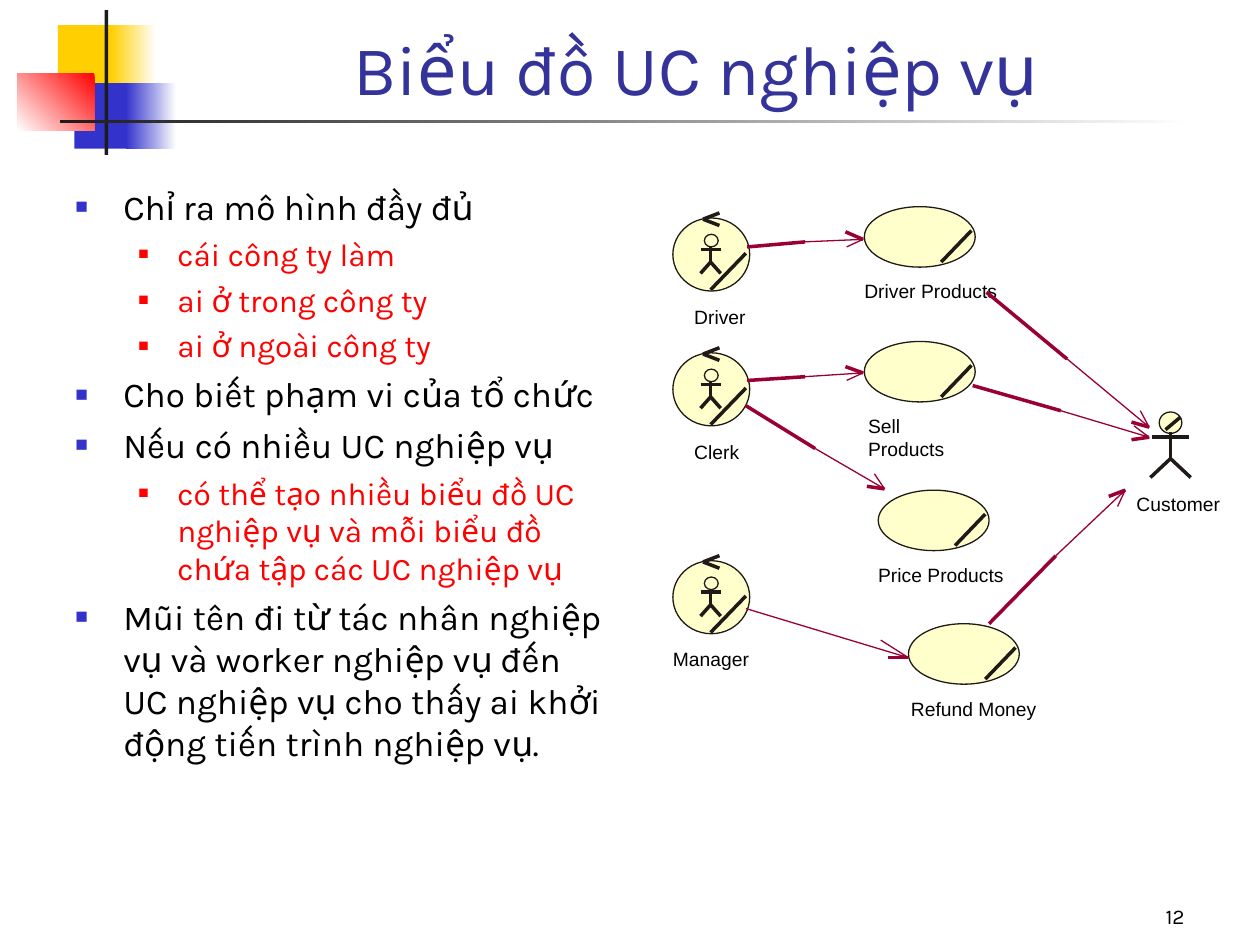
from lxml import etree
from pptx import Presentation
from pptx.dml.color import RGBColor
from pptx.enum.shapes import MSO_CONNECTOR, MSO_SHAPE
from pptx.enum.text import MSO_ANCHOR, MSO_AUTO_SIZE, PP_ALIGN
from pptx.oxml.ns import qn
from pptx.util import Pt

EMU_PER_PX = 9144  # 100 px to the inch
RECTANGLE, ELLIPSE = MSO_SHAPE.RECTANGLE, MSO_SHAPE.OVAL
STRAIGHT = MSO_CONNECTOR.STRAIGHT
LEFT, CENTER, RIGHT = PP_ALIGN.LEFT, PP_ALIGN.CENTER, PP_ALIGN.RIGHT
TOP, BOTTOM = MSO_ANCHOR.TOP, MSO_ANCHOR.BOTTOM
FIT_SHAPE = MSO_AUTO_SIZE.SHAPE_TO_FIT_TEXT

COLORS = {
    "white": "FFFFFF", "black": "000000", "yellow": "FFCF01", "blue": "3333CC",
    "red": "FF0000", "dark": "1C1C1C", "title": "333399",
    "cream": "FFFFCC", "ink": "1F1A17", "arrow": "990033",
}
# Per level: size, colour, bullet colour, bullet %, space before, left, hanging
LEVELS = [
    (20, "black", "blue", 60, 5, 38, 38),
    (18, "red", "red", 55, 4.5, 81, 31),
]
BODY = [
    (0, "Chỉ ra mô hình đầy đủ"),
    (1, "cái công ty làm"),
    (1, "ai ở trong công ty"),
    (1, "ai ở ngoài công ty"),
    (0, "Cho biết phạm vi của tổ chức"),
    (0, "Nếu có nhiều UC nghiệp vụ"),
    (1, "có thể tạo nhiều biểu đồ UC nghiệp vụ và mỗi biểu đồ chứa tập các UC nghiệp vụ"),
    (0, "Mũi tên đi từ tác nhân nghiệp vụ và worker nghiệp vụ đến UC nghiệp vụ "
        "cho thấy ai khởi động tiến trình nghiệp vụ."),
]
# Name, top, label left, label width
WORKERS = [("Driver", 173, 551, 41), ("Clerk", 280, 551, 36), ("Manager", 445, 534, 61)]
# Name, left, top, label left, label width
USE_CASES = [
    ("Driver Products", 686, 164, 686, 106),
    ("Sell Products", 686, 271, 689, 90),
    ("Price Products", 697, 389, 697, 100),
    ("Refund Money", 721, 495, 723, 100),
]
# Points from tail to tip, then the ends of the two barbs
ARROWS = [
    ([(593, 196), (639, 192), (685, 190)], (672, 196), (671, 184)),
    ([(593, 302), (639, 299), (685, 296)], (672, 302), (671, 291)),
    ([(592, 322), (647, 356), (702, 388)], (694, 376), (688, 386)),
    ([(592, 483), (721, 522)], (699, 508), (705, 522)),
    ([(783, 232), (847, 285), (912, 339)], (905, 326), (898, 335)),
    ([(772, 306), (842, 326), (912, 347)], (900, 338), (898, 349)),
    ([(785, 495), (838, 441), (893, 389)], (887, 402), (880, 394)),
]


def px(value):
    return value * EMU_PER_PX


def rgb(name):
    return RGBColor.from_string(COLORS[name])


class Canvas:
    """Holds the text style and the page being drawn on."""

    font, label_font, label_size = "Karla", "Arial", 11

    def __init__(self, page):
        self.page = page
        self.shapes = page.shapes

    def shape(self, kind, box, fill=None, line=None, gradient=None, angle=180):
        """Angle is the clockwise direction of the gradient."""
        shape = self.shapes.add_shape(kind, *map(px, box))
        shape.shadow.inherit = False
        if gradient:
            shape.fill.gradient()
            shape.fill.gradient_angle = 360 - angle
            for stop, name in zip(shape.fill.gradient_stops, gradient):
                stop.color.rgb = rgb(name)
        elif fill:
            shape.fill.solid()
            shape.fill.fore_color.rgb = rgb(fill)
        else:
            shape.fill.background()
        self.outline(shape, line)

    def outline(self, shape, color):
        if color:
            shape.line.color.rgb = rgb(color)
            shape.line.width = 0
        else:
            shape.line.fill.background()

    def line(self, start, end, color="ink"):
        line = self.shapes.add_connector(STRAIGHT, *map(px, (*start, *end)))
        self.outline(line, color)
        etree.SubElement(line._element.spPr, qn("a:effectLst"))

    def arrow(self, points, barb, other_barb):
        *tail, start, tip = points
        builder = self.shapes.build_freeform(*start, scale=EMU_PER_PX)
        builder.add_line_segments([tip, barb], close=False)
        shape = builder.convert_to_shape()
        shape.shadow.inherit = False
        shape.fill.background()
        self.outline(shape, "arrow")
        self.line(tip, other_barb, "arrow")
        for end in tail:
            self.line(start, end, "arrow")

    def text_box(self, box, anchor=TOP, margins=(10, 5), wrap=True):
        frame = self.shapes.add_textbox(*map(px, box)).text_frame
        frame.word_wrap = wrap
        frame.vertical_anchor = anchor
        frame.margin_left = frame.margin_right = px(margins[0])
        frame.margin_top = frame.margin_bottom = px(margins[1])
        return frame

    def span(self, para, text, size, color="black", font=None, align=LEFT):
        para.alignment = align
        span = para.add_run()
        span.text = text
        span.font.size = Pt(size)
        span.font.name = font or self.font
        span.font.color.rgb = rgb(color)

    def label(self, text, left, top, width):
        frame = self.text_box((left, top, width, 18), margins=(0, 0), wrap=False)
        frame.auto_size = FIT_SHAPE
        self.span(frame.paragraphs[0], text, self.label_size, font=self.label_font)

    def bullets(self, box, items):
        frame = self.text_box(box)
        for index, (level, text) in enumerate(items):
            para = frame.add_paragraph() if index else frame.paragraphs[0]
            size, color, bullet_color, percent, before, left, hanging = LEVELS[level]
            para.level = level
            para.line_spacing = 1.0
            para.space_before = Pt(before)
            self.span(para, text, size, color)
            props = para._p.get_or_add_pPr()
            props.set("marL", str(px(left)))
            props.set("indent", str(-px(hanging)))
            fill = etree.SubElement(props, qn("a:buClr"))
            etree.SubElement(fill, qn("a:srgbClr"), val=COLORS[bullet_color])
            etree.SubElement(props, qn("a:buSzPct"), val=str(percent * 1000))
            etree.SubElement(props, qn("a:buFont"), typeface=self.label_font)
            etree.SubElement(props, qn("a:buChar"), char="■")

    def stick_limbs(self, x, neck, arms, hips, feet, reach, stride):
        self.line((x + stride, feet), (x, hips))
        self.line((x - stride, feet), (x, hips))
        self.line((x, neck), (x, hips))
        self.line((x - reach, arms), (x + reach, arms))

    def worker(self, name, top, label_left, label_width):
        self.shape(ELLIPSE, (534, top, 61, 58), "cream", "ink")
        self.line((592, top + 28), (564, top + 57))
        for end in (top - 4, top + 6):
            self.line((571, end), (558, top + 1))
        self.stick_limbs(564, top + 23, top + 25, top + 35, top + 44, 8, 8)
        self.shape(ELLIPSE, (559, top + 13, 11, 10), line="ink")
        self.label(name, label_left, top + 69, label_width)

    def use_case(self, name, left, top, label_left, label_width):
        self.shape(ELLIPSE, (left, top, 88, 48), "cream", "ink")
        self.line((left + 85, top + 19), (left + 61, top + 44))
        self.label(name, label_left, top + 58, label_width)

    def customer(self):
        self.shape(ELLIPSE, (920, 327, 18, 17), "cream", "ink")
        self.line((925, 341), (937, 331))
        self.stick_limbs(929, 343, 347, 364, 379, 15, 16)
        self.label("Customer", 902, 391, 67)

    def ornament(self):
        self.shape(RECTANGLE, (46, 20, 48, 52), "yellow")
        self.shape(RECTANGLE, (88, 20, 36, 52), gradient=("white", "yellow"))
        self.shape(RECTANGLE, (59, 66, 46, 52), "blue")
        self.shape(RECTANGLE, (100, 66, 40, 52), gradient=("white", "blue"))
        self.shape(RECTANGLE, (14, 58, 61, 46), gradient=("red", "white"), angle=135)
        self.shape(RECTANGLE, (83, 8, 3, 115), "dark")
        self.shape(RECTANGLE, (48, 95, 900, 3), gradient=("white", "dark"))


def main():
    deck = Presentation()
    deck.slide_width, deck.slide_height = px(1000), px(750)
    canvas = Canvas(deck.slides.add_slide(deck.slide_layouts[6]))
    canvas.ornament()
    title = canvas.text_box((126, 8, 852, 84), BOTTOM)
    canvas.span(title.paragraphs[0], "Biểu đồ UC nghiệp vụ", 40, "title", align=CENTER)
    canvas.bullets((50, 142, 442, 521), BODY)
    for worker in WORKERS:
        canvas.worker(*worker)
    for use_case in USE_CASES:
        canvas.use_case(*use_case)
    canvas.customer()
    for arrow in ARROWS:
        canvas.arrow(*arrow)
    number = canvas.text_box((742, 692, 208, 50), BOTTOM)
    canvas.span(number.paragraphs[0], "12", 12, align=RIGHT)
    deck.save("out.pptx")


if __name__ == "__main__":
    main()
